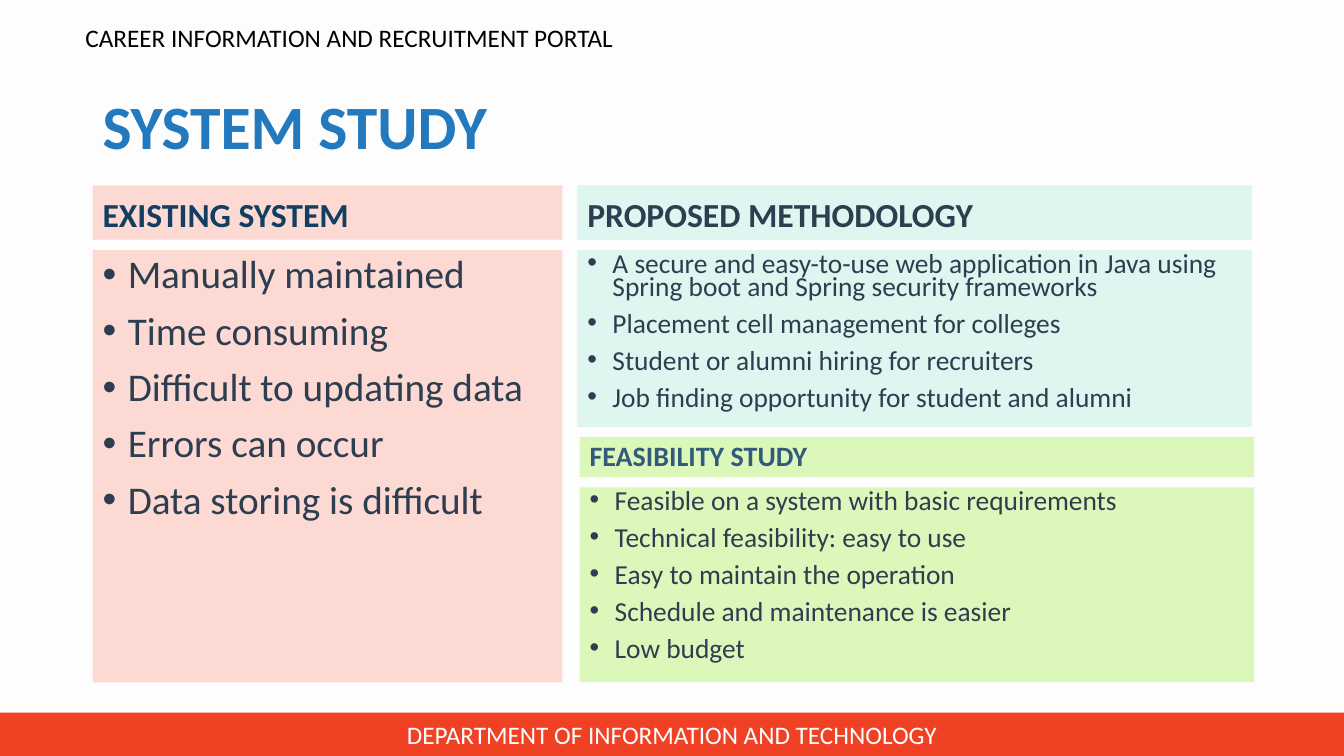
"""Build the System Study slide with three titled panels, a header and a footer."""
from lxml import etree
from pptx import Presentation
from pptx.dml.color import RGBColor
from pptx.enum import shapes, text
from pptx.oxml.ns import qn
from pptx.util import Pt


def paint(target, color):
    target.solid()
    target.fore_color.rgb = RGBColor.from_string(color)


def add_block(box, lines, size, color, fill=None, bold=False, anchor="MIDDLE",
              spacing=1.0, before=0, align="LEFT", bullet=False):
    shape = slide.shapes.add_shape(shapes.MSO_SHAPE.RECTANGLE, *map(Pt, box))
    shape.shadow.inherit = False
    shape.line.fill.background()
    if fill:
        paint(shape.fill, fill)
    else:
        shape.fill.background()
    frame = shape.text_frame
    frame.word_wrap = True
    frame.vertical_anchor = text.MSO_ANCHOR[anchor]
    for index, line in enumerate(lines):
        paragraph = frame.paragraphs[0] if index == 0 else frame.add_paragraph()
        paragraph.alignment = text.PP_ALIGN[align]
        paragraph.line_spacing = spacing
        paragraph.space_before = Pt(before)
        if bullet:
            properties = paragraph._p.get_or_add_pPr()
            properties.set("marL", str(Pt(18)))
            properties.set("indent", str(-Pt(18)))
            etree.SubElement(properties, qn("a:buFont")).set("typeface", "Arial")
            etree.SubElement(properties, qn("a:buChar")).set("char", "•")
        run = paragraph.add_run()
        run.text = line
        run.font.name = "Calibri"
        run.font.size = Pt(size)
        run.font.bold = bold
        paint(run.font.fill, color)


presentation = Presentation()
presentation.slide_width, presentation.slide_height = Pt(960), Pt(540)
slide = presentation.slides.add_slide(presentation.slide_layouts[6])
paint(slide.background.fill, "FDFDFD")

add_block((54, 5, 828, 43.2), ["CAREER INFORMATION AND RECRUITMENT PORTAL"], 18, "000000")
add_block((0, 509, 960, 31), ["DEPARTMENT OF INFORMATION AND TECHNOLOGY"], 18, "FFFFFF",
          fill="F14124", align="CENTER")
add_block((66.2, 60.5, 828, 64.8), ["SYSTEM STUDY"], 44, "2279BE", bold=True, spacing=0.9)

panels = [
    ("EXISTING SYSTEM", 24, "123E62", "FCD9D3", (66.2, 132.4, 335.6), 38.8, 308.9, 28, 0.9, [
        "Manually maintained",
        "Time consuming",
        "Difficult to updating data",
        "Errors can occur",
        "Data storing is difficult",
    ]),
    ("PROPOSED METHODOLOGY", 24, "2D3E50", "DFF5EF", (412.4, 132.4, 481.8), 38.8, 126.5, 19.6, 0.7, [
        "A secure and easy-to-use web application in Java using "
        "Spring boot and Spring security frameworks",
        "Placement cell management for colleges",
        "Student or alumni hiring for recruiters",
        "Job finding opportunity for student and alumni",
    ]),
    ("FEASIBILITY STUDY", 20, "335A7D", "DCF7BA", (414, 312, 481.8), 28.8, 139, 19.6, 0.7, [
        "Feasible on a system with basic requirements",
        "Technical feasibility: easy to use",
        "Easy to maintain the operation",
        "Schedule and maintenance is easier",
        "Low budget",
    ]),
]
panel_gap = 7.4
for (heading, heading_size, heading_color, fill, (left, top, width),
     heading_height, body_height, body_size, spacing, points) in panels:
    add_block((left, top, width, heading_height), [heading], heading_size, heading_color,
              fill=fill, bold=True, anchor="BOTTOM", spacing=0.9, before=10)
    body_top = top + heading_height + panel_gap
    add_block((left, body_top, width, body_height), points, body_size, "2D3E50",
              fill=fill, anchor="TOP", spacing=spacing, before=10, bullet=True)

presentation.save("out.pptx")
